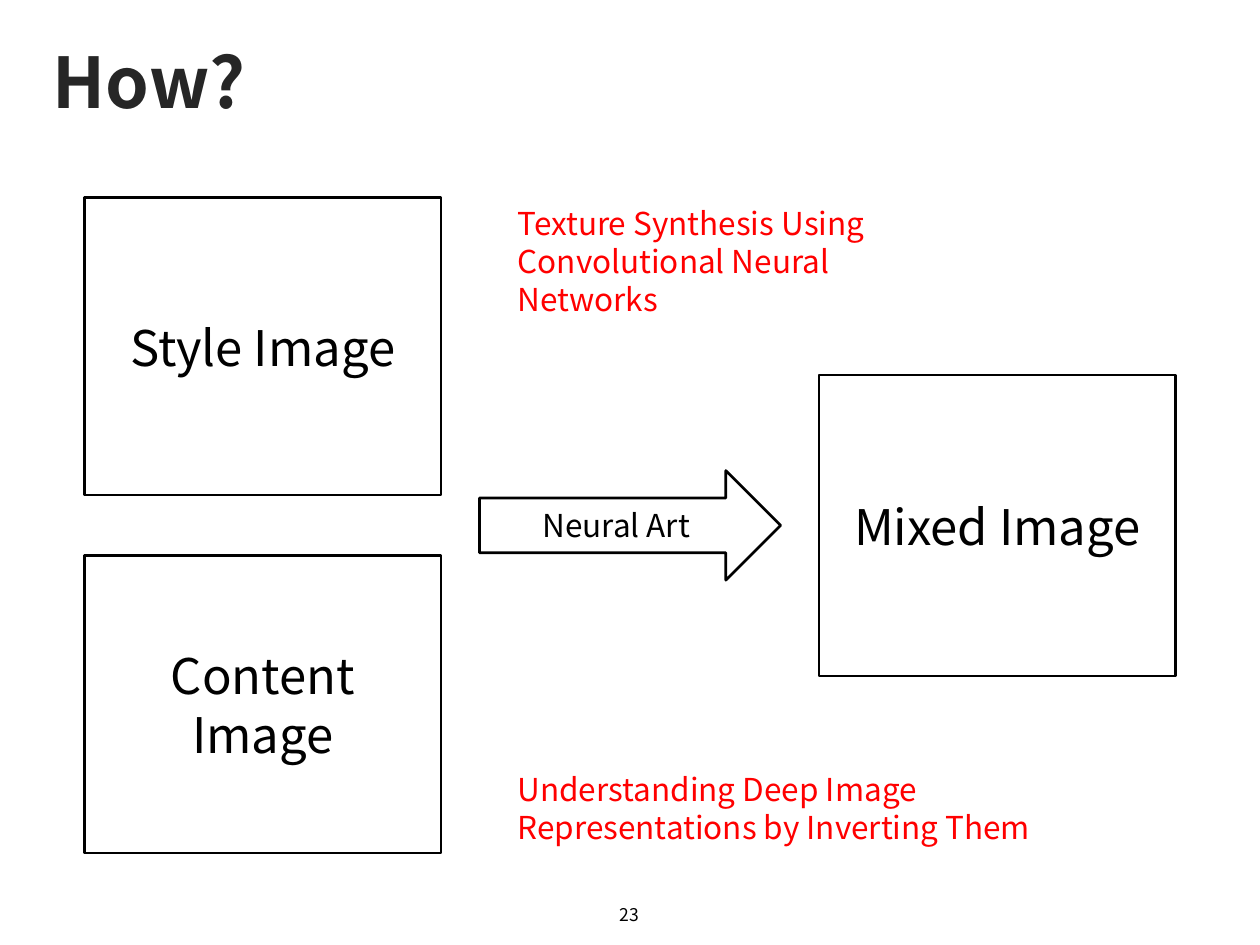
from pptx import Presentation
from pptx.dml.color import RGBColor
from pptx.enum import shapes, text
from pptx.util import Inches, Pt

FONT = "Noto Sans CJK KR"
BLACK, RED, GREY = "000000", "FF0000", "262626"


def color(value):
    return RGBColor.from_string(value)


def bounds(box):
    return [Inches(length) for length in box]


def write(shape, words, size, ink, align, anchor=text.MSO_ANCHOR.MIDDLE, bold=False):
    frame = shape.text_frame
    frame.word_wrap = True
    frame.vertical_anchor = anchor
    para = frame.paragraphs[0]
    para.text = words
    para.alignment = align
    para.font.name = FONT
    para.font.size = Pt(size)
    para.font.bold = bold
    para.font.color.rgb = color(ink)
    return para


def add_title(page, box, words):
    title = page.shapes.title
    title.left, title.top, title.width, title.height = bounds(box)
    write(title, words, 40, GREY, text.PP_ALIGN.LEFT, bold=True)


def add_outlined(page, kind, box, words, size):
    shape = page.shapes.add_shape(kind, *bounds(box))
    shape.shadow.inherit = False
    shape.fill.background()
    shape.line.color.rgb = color(BLACK)
    shape.line.width = Pt(1.5)
    write(shape, words, size, BLACK, text.PP_ALIGN.CENTER)


def add_paper(page, box, words):
    paper = page.shapes.add_textbox(*bounds(box))
    para = write(paper, words, 18, RED, text.PP_ALIGN.LEFT, text.MSO_ANCHOR.TOP)
    properties = para._p.get_or_add_pPr()
    properties.set("marL", str(Inches(0.25)))
    properties.set("indent", "0")


def add_page_number(page, box, number):
    label = page.shapes.add_textbox(*bounds(box))
    write(label, number, 10, BLACK, text.PP_ALIGN.CENTER)


def add_diagram(page, box):
    left, top, width, height = box
    image_width, image_height = 2.83, 2.36
    mixed_height = 2.39
    arrow_width, arrow_height = 2.39, 0.87
    middle = top + height / 2
    rectangle = shapes.MSO_SHAPE.RECTANGLE

    # Source images, at the top and bottom of the left side
    for y, words in ((top, "Style Image"), (top + height - image_height, "Content Image")):
        add_outlined(page, rectangle, (left, y, image_width, image_height), words, 28)

    # Result, centred on the right side
    add_outlined(
        page, rectangle,
        (left + width - image_width, middle - mixed_height / 2, image_width, mixed_height),
        "Mixed Image", 28)

    # Arrow, centred between sources and result
    add_outlined(
        page, shapes.MSO_SHAPE.RIGHT_ARROW,
        (left + (width - arrow_width) / 2, middle - arrow_height / 2, arrow_width, arrow_height),
        "Neural Art", 18)

    # Related papers, beside each source
    paper_left, paper_height = left + 3.09, 0.71
    add_paper(page, (paper_left, top, 4.02, paper_height),
              "Texture Synthesis Using Convolutional Neural Networks")
    add_paper(page, (paper_left, top + height - paper_height, 4.63, paper_height),
              "Understanding Deep Image Representations by Inverting Them")


def main():
    deck = Presentation()
    deck.slide_width, deck.slide_height = Inches(10), Inches(7.5)
    page = deck.slides.add_slide(deck.slide_layouts[5])
    add_title(page, (0.32, 0.28, 9.38, 0.72), "How?")
    add_diagram(page, (0.67, 1.57, 8.66, 5.2))
    add_page_number(page, (3.83, 7.06, 2.33, 0.4), "23")
    deck.save("out.pptx")


if __name__ == "__main__":
    main()
